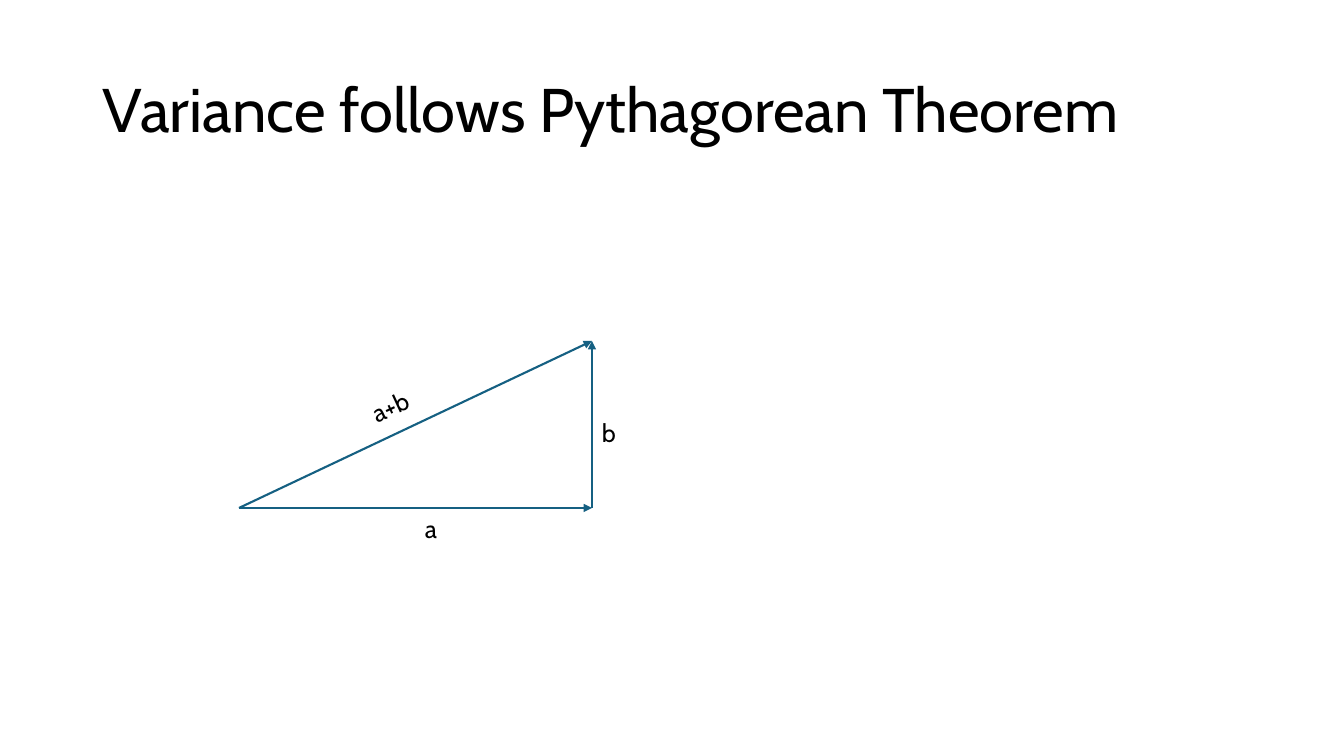
from lxml import etree
from pptx import Presentation
from pptx.dml.color import RGBColor
from pptx.enum.shapes import MSO_CONNECTOR
from pptx.enum.text import MSO_ANCHOR, MSO_AUTO_SIZE
from pptx.oxml.ns import qn
from pptx.util import Pt

EMU_PER_PX = 914400 / 100.8
COLORS = {"text": "000000", "arrow": "156082"}
FONT = "Cabin"


def px(*lengths):
    return [round(n * EMU_PER_PX) for n in lengths]


def add_text(slide, text, box, size):
    s = slide.shapes.add_textbox(*px(*box))
    p = s.text_frame.paragraphs[0]
    r = p.add_run()
    r.text = text
    r.font.name = FONT
    r.font.size = Pt(size)
    r.font.color.rgb = RGBColor.from_string(COLORS["text"])
    return s


prs = Presentation()
prs.slide_width, prs.slide_height = px(1344, 756)
slide = prs.slides.add_slide(prs.slide_layouts[6])

# Title
title = add_text(slide, "Variance follows Pythagorean Theorem", (93, 40, 1159, 146), 44)
tf = title.text_frame
tf.word_wrap = True
tf.vertical_anchor = MSO_ANCHOR.MIDDLE
tf.paragraphs[0].line_spacing = 0.9

# Vectors of the right triangle, each with its label
origin, corner, tip = (239, 508), (592, 508), (592, 341)
vectors = [
    (origin, corner, "a", (415, 508, 61, 80), 0),
    (corner, tip, "b", (592, 412, 62, 80), 0),
    (origin, tip, "a+b", (367, 373, 114, 80), 335.1),
]
for start, end, label, box, angle in vectors:
    arrow = slide.shapes.add_connector(MSO_CONNECTOR.STRAIGHT, *px(*start, *end))
    arrow.line.color.rgb = RGBColor.from_string(COLORS["arrow"])
    arrow.line.width = Pt(1.5)
    etree.SubElement(arrow.line._get_or_add_ln(), qn("a:tailEnd"), type="triangle")
    etree.SubElement(arrow._element.spPr, qn("a:effectLst"))

    s = add_text(slide, label, box, 18)
    s.rotation = angle
    s.text_frame.word_wrap = False
    s.text_frame.auto_size = MSO_AUTO_SIZE.SHAPE_TO_FIT_TEXT

prs.save("out.pptx")
